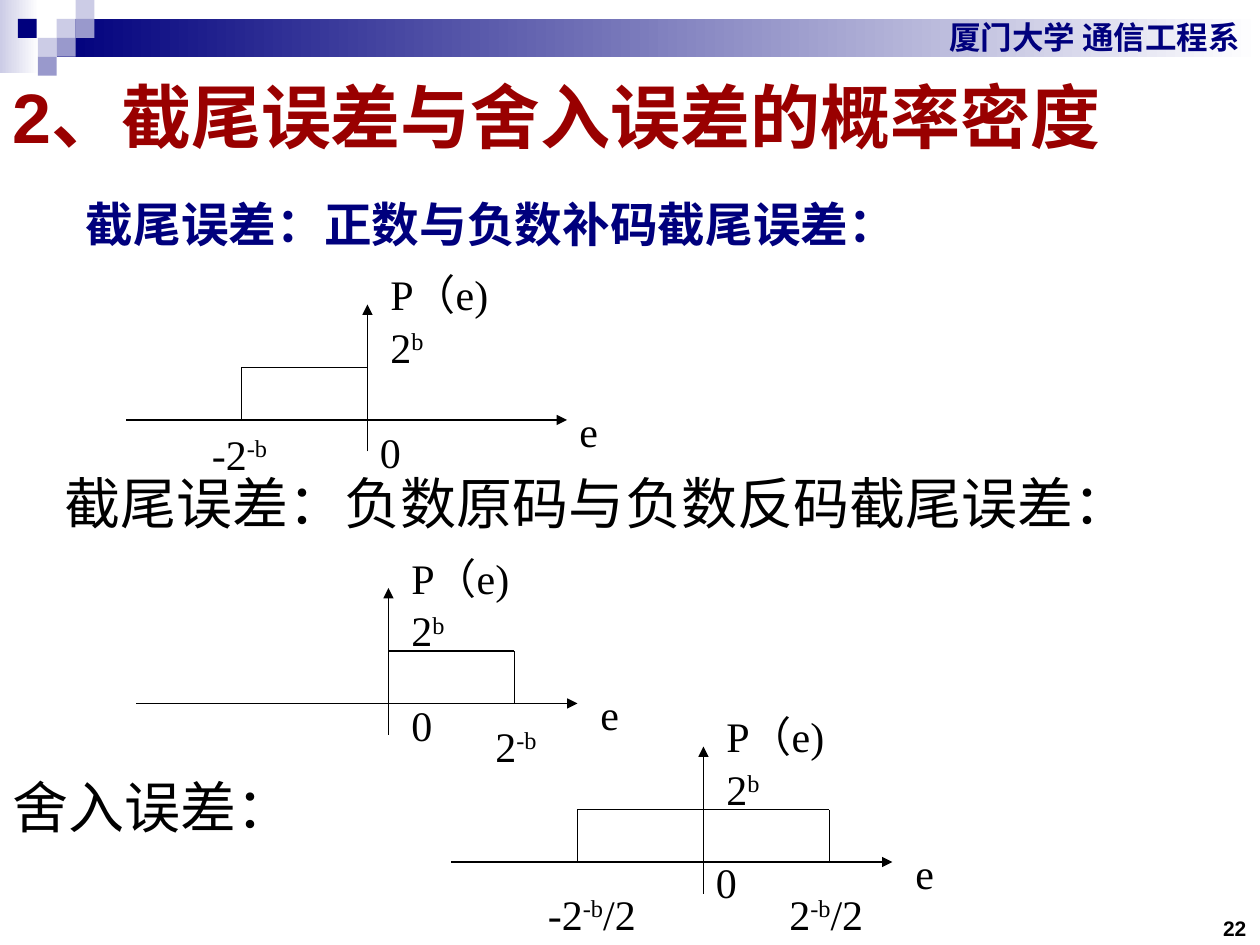
from pptx import Presentation
from pptx import util as u
from pptx.dml.color import RGBColor
from pptx.enum import shapes, text
from pptx.oxml.ns import qn
from lxml import etree

PX = 7620  # 120 px to the inch
SQUARE = 18
NAVY, LILAC, PALE = "00007D", "9999CC", "CCCCE6"
RED, BLACK, WHITE = "990000", "000000", "FFFFFF"
SERIF, SANS, HAN = "Times New Roman", "Arial", "Noto Sans CJK SC"


def color(code):
    return RGBColor.from_string(code)


def rect(slide, left, top, wide, high, fill, end=None):
    """Draw a plain rectangle, shaded from left to right if end is given."""
    box = slide.shapes.add_shape(
        shapes.MSO_SHAPE.RECTANGLE, left * PX, top * PX, wide * PX, high * PX)
    box.shadow.inherit = False
    box.line.fill.background()
    if end:
        box.fill.gradient()
        box.fill.gradient_angle = 0
        for stop, code in zip(box.fill.gradient_stops, (fill, end)):
            stop.color.rgb = color(code)
    else:
        box.fill.solid()
        box.fill.fore_color.rgb = color(fill)


def write(slide, words, left, top, wide, high=60, size=24, font=SERIF,
          ink=BLACK, bold=False, wrap=True, middle=False):
    """Add a text box; words between a pair of ^ marks are raised."""
    box = slide.shapes.add_textbox(left * PX, top * PX, wide * PX, high * PX)
    frame = box.text_frame
    frame.word_wrap = wrap
    if middle:
        frame.vertical_anchor = text.MSO_ANCHOR.MIDDLE
    for i, part in enumerate(words.split("^")):
        run = frame.paragraphs[0].add_run()
        run.text = part
        run.font.size = u.Pt(size)
        run.font.name = font
        run.font.bold = bold
        run.font.color.rgb = color(ink)
        props = run.font._element
        etree.SubElement(props, qn("a:ea")).set("typeface", HAN)
        if i % 2:
            props.set("baseline", "30000")


def line(slide, x1, y1, x2, y2, arrow=False):
    link = slide.shapes.add_connector(
        shapes.MSO_CONNECTOR.STRAIGHT, x1 * PX, y1 * PX, x2 * PX, y2 * PX)
    link.line.color.rgb = color(BLACK)
    link.line.width = u.Pt(0.75)
    if arrow:
        tip = etree.SubElement(link.line._get_or_add_ln(), qn("a:tailEnd"))
        tip.set("type", "triangle")
    etree.SubElement(link._element.spPr, qn("a:effectLst"))


def pulse(slide, x, y, edge):
    """Draw half of a density: its top and its outer side."""
    line(slide, x + edge, y, x + edge, y - 50)
    line(slide, x, y - 50, x + edge, y - 50)


def plot(slide, x, y, start, edges, marks):
    """Draw a density plot with its origin at x, y; marks are offsets from it."""
    line(slide, x + start, y, x + start + 420, y, arrow=True)
    line(slide, x, y + 30, x, y - 110, arrow=True)
    for edge in edges:
        pulse(slide, x, y, edge)
    write(slide, "P（e)", x + 10, y - 150, 170)
    write(slide, "2^b", x + 10, y - 100, 90)
    write(slide, "e", x + 190, y - 20, 70)
    for words, right, down, wide in marks:
        write(slide, words, x + right, y + down, wide)


def banner(slide):
    rect(slide, 0, 0, 37, 70, PALE, WHITE)
    rect(slide, 54, 18, 1146, 36, NAVY, WHITE)
    tiles = [(54, 1, PALE), (72, 0, PALE), (72, 1, LILAC), (36, 2, PALE),
             (17, 1, NAVY), (54, 2, LILAC), (36, 3, LILAC)]
    for left, row, fill in tiles:
        rect(slide, left, row * SQUARE, SQUARE, SQUARE, fill)
    write(slide, "厦门大学 通信工程系", 892, 11, 308, 48, size=18, font=HAN,
          ink=NAVY, bold=True, wrap=False)


def main():
    deck = Presentation()
    deck.slide_width, deck.slide_height = 1200 * PX, 900 * PX
    slide = deck.slides.add_slide(deck.slide_layouts[6])
    banner(slide)
    write(slide, "22", 1153, 866, 47, 34, size=12, font=SANS, bold=True,
          wrap=False)
    write(slide, "2、截尾误差与舍入误差的概率密度", 0, 35, 1200, 150, size=40,
          font=SANS, ink=RED, bold=True, middle=True)
    write(slide, "截尾误差：正数与负数补码截尾误差：", 70, 180, 980, 70,
          size=27.2, font=SANS, ink=NAVY, bold=True)
    write(slide, "截尾误差：负数原码与负数反码截尾误差：", 50, 440, 1020, 77,
          size=32)
    write(slide, "舍入误差：", 0, 730, 620, 77, size=32)
    plot(slide, 350, 400, -230, [-120],
         [("-2^-b", -160, 2, 130), ("0", 0, 0, 70)])
    plot(slide, 370, 670, -240, [120],
         [("2^-b", 90, 10, 130), ("0", 10, -10, 60)])
    plot(slide, 670, 821, -240, [-120, 120],
         [("-2^-b^/2", -160, 19, 130), ("2^-b^/2", 70, 19, 130),
          ("0", 0, -11, 40)])
    deck.save("out.pptx")


if __name__ == "__main__":
    main()
